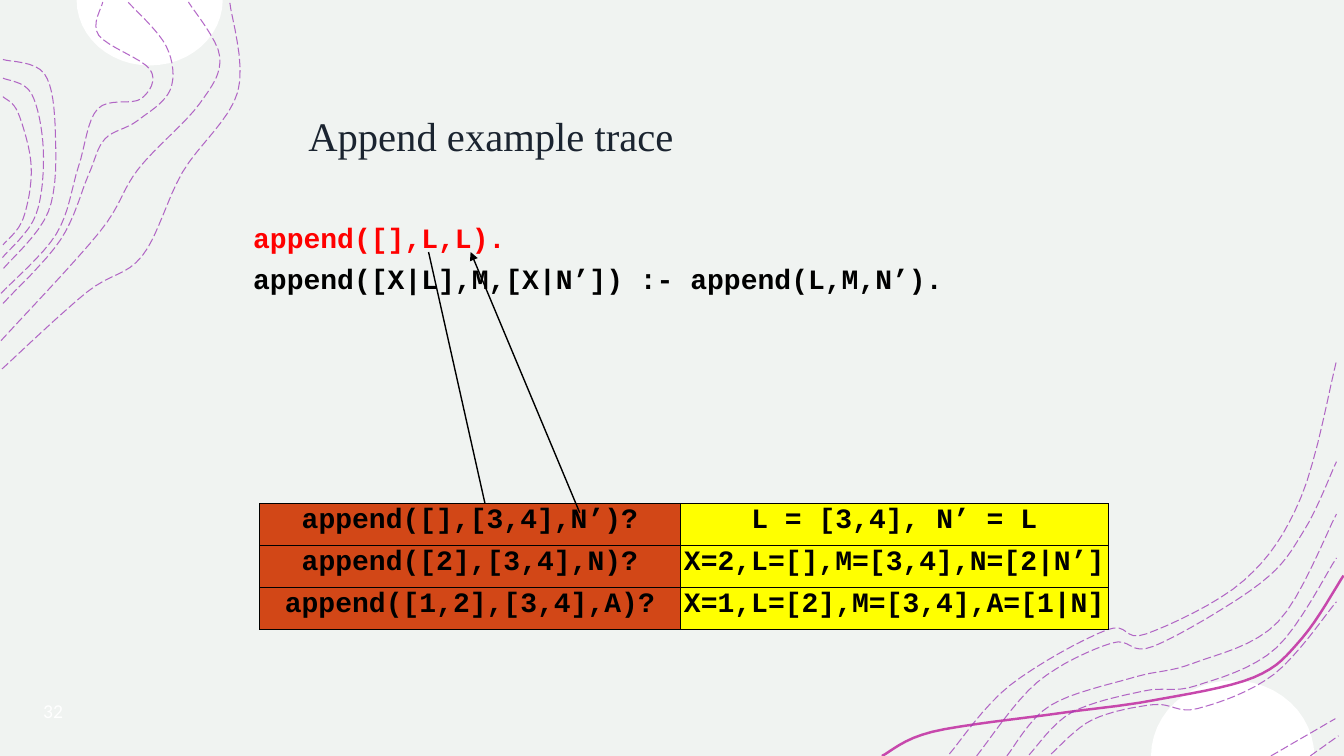
"""Build the slide that traces the append predicate, framed by contour lines."""
from math import cos, pi, sin

from lxml.etree import SubElement
from pptx import Presentation
from pptx.dml.color import RGBColor
from pptx.enum.dml import MSO_LINE
from pptx.enum.shapes import MSO_CONNECTOR
from pptx.enum.text import MSO_ANCHOR, MSO_AUTO_SIZE, PP_ALIGN
from pptx.oxml.ns import qn
from pptx.util import Cm, Pt

PAPER = RGBColor(0xF0, 0xF3, 0xF1)
WHITE = RGBColor(0xFF, 0xFF, 0xFF)
BLACK = RGBColor(0x00, 0x00, 0x00)
INK = RGBColor(0x1B, 0x24, 0x30)
RED = RGBColor(0xFF, 0x00, 0x00)
ORANGE = RGBColor(0xD2, 0x47, 0x17)
YELLOW = RGBColor(0xFF, 0xFF, 0x00)
PURPLE = RGBColor(0x9C, 0x37, 0xB6)
MAGENTA = RGBColor(0xC7, 0x48, 0xAC)
CODE_FONT, TITLE_FONT = "Courier New", "Times New Roman"

TITLE = "Append example trace"
PAGE_NUMBER = "32"
CLAUSES = [
    ("append([],L,L).", RED, 6.2),
    ("append([X|L],M,[X|N’]) :- append(L,M,N’).", BLACK, 5.2),
]
TRACE = [
    ("append([],[3,4],N’)?", "L = [3,4], N’ = L"),
    ("append([2],[3,4],N)?", "X=2,L=[],M=[3,4],N=[2|N’]"),
    ("append([1,2],[3,4],A)?", "X=1,L=[2],M=[3,4],A=[1|N]"),
]
TRACE_FILLS = (ORANGE, YELLOW)
TRACE_WIDTHS = (Cm(10.59), Cm(10.8))
TRACE_ROW = Cm(1.06)

# Contours and caps are measured in hundredths of an inch.
UNIT = Cm(2.54) / 1000
CAPS = [(148.5, 0, 72.5, 65), (1223, 750, 81, -75)]
RIBBON = [(875, 750), (925, 726), (1048, 708), (1143, 695), (1244, 672), (1292, 633), (1333, 571)]
# Each family holds its line count, its first line and its last line.
CONTOUR_FAMILIES = [
    (2, [(2, 366), (86, 290), (141, 254), (181, 171), (236, 91), (228, 2)],
     [(1, 338), (99, 230), (137, 168), (198, 103), (218, 56), (187, 2)]),
    (2, [(3, 301), (60, 238), (88, 173), (104, 138), (136, 120), (169, 89), (165, 46), (127, 2)],
     [(1, 291), (56, 232), (78, 165), (97, 108), (140, 98), (149, 69), (98, 35), (102, 2)]),
    (3, [(3, 59), (44, 73), (55, 132), (48, 210), (2, 268)],
     [(3, 96), (18, 112), (31, 165), (23, 217), (3, 243)]),
    (2, [(942, 748), (1002, 680), (1098, 625), (1137, 629), (1234, 576), (1291, 493), (1326, 358)],
     [(969, 750), (1029, 677), (1103, 638), (1145, 641), (1250, 579), (1294, 526), (1326, 458)]),
    (3, [(1043, 748), (1084, 714), (1145, 699), (1188, 703), (1264, 669), (1326, 597)],
     [(999, 750), (1042, 700), (1125, 672), (1184, 658), (1268, 617), (1326, 510)]),
    (2, [(1261, 750), (1325, 713)], [(1300, 750), (1328, 730)]),
]


def blend(first, last, share):
    """Return the line that lies at a share of the way between two lines."""
    return [tuple(a + share * (b - a) for a, b in zip(start, end)) for start, end in zip(first, last)]


def smooth(knots, steps=8):
    """Return points of a Catmull-Rom curve through the knots."""
    padded = [knots[0], *knots, knots[-1]]
    points = [knots[0]]
    for a, b, c, d in zip(padded, padded[1:], padded[2:], padded[3:]):
        for step in range(1, steps + 1):
            t = step / steps
            points.append(tuple(
                q + t / 2 * (r - p + t * (2 * p - 5 * q + 4 * r - s + t * (3 * (q - r) + s - p)))
                for p, q, r, s in zip(a, b, c, d)))
    return points


def draw_outline(shapes, points, closed=False):
    """Add a freeform through the points."""
    start, *rest = [(10 * x, 10 * y) for x, y in points]
    builder = shapes.build_freeform(*start, scale=UNIT)
    builder.add_line_segments(rest, close=closed)
    outline = builder.convert_to_shape()
    outline.shadow.inherit = False
    return outline


def draw_stroke(shapes, knots, color, width):
    """Add a smooth open line."""
    stroke = draw_outline(shapes, smooth(knots))
    stroke.fill.background()
    stroke.line.color.rgb = color
    stroke.line.width = Pt(width)
    return stroke


def draw_arrow(shapes, x1, y1, x2, y2):
    """Add a black arrow from the first point to the second."""
    arrow = shapes.add_connector(MSO_CONNECTOR.STRAIGHT, Cm(x1), Cm(y1), Cm(x2), Cm(y2))
    arrow.line.color.rgb = BLACK
    arrow.line.width = Pt(1)
    SubElement(arrow.line._get_or_add_ln(), qn("a:tailEnd"), type="triangle")
    SubElement(arrow._element.spPr, qn("a:effectLst"))


def style(paragraph, font, size, color, bold=False, before=0):
    """Format the runs of a paragraph and the space above it."""
    paragraph.space_before = Pt(before)
    for run in paragraph.runs:
        run.font.name = font
        run.font.size = Pt(size)
        run.font.color.rgb = color
        run.font.bold = bold


def place(holder, left, top, width, height, inset):
    """Move a text shape and set its margins."""
    holder.left, holder.top, holder.width, holder.height = map(Cm, (left, top, width, height))
    frame = holder.text_frame
    frame.word_wrap = True
    frame.auto_size = MSO_AUTO_SIZE.NONE
    frame.margin_left = frame.margin_right = frame.margin_bottom = 0
    frame.margin_top = Cm(inset)
    return frame


def fill_cell(cell, text, color):
    """Write one bordered cell of the trace."""
    cell.margin_left = cell.margin_right = cell.margin_bottom = 0
    cell.margin_top = Cm(0.03)
    cell.text_frame.text = text
    paragraph = cell.text_frame.paragraphs[0]
    paragraph.alignment = PP_ALIGN.CENTER
    style(paragraph, CODE_FONT, 20, BLACK, bold=True, before=0.7)
    properties = cell._tc.get_or_add_tcPr()
    for side in ("lnL", "lnR", "lnT", "lnB"):
        border = SubElement(properties, qn(f"a:{side}"), w=str(Pt(0.75)))
        SubElement(SubElement(border, qn("a:solidFill")), qn("a:srgbClr"), val=str(BLACK))
    cell.fill.solid()
    cell.fill.fore_color.rgb = color


def main():
    """Lay out the slide and save it."""
    deck = Presentation()
    deck.slide_width, deck.slide_height = Cm(33.87), Cm(19.05)
    slide = deck.slides.add_slide(deck.slide_layouts[1])
    shapes = slide.shapes
    slide.background.fill.solid()
    slide.background.fill.fore_color.rgb = PAPER

    for center, base, radius, rise in CAPS:
        arc = [(center + radius * cos(pi * i / 24), base + rise * sin(pi * i / 24)) for i in range(25)]
        cap = draw_outline(shapes, arc, closed=True)
        cap.fill.solid()
        cap.fill.fore_color.rgb = WHITE
        cap.line.fill.background()
    draw_stroke(shapes, RIBBON, MAGENTA, 1.75)
    for count, first, last in CONTOUR_FAMILIES:
        for i in range(count):
            contour = draw_stroke(shapes, blend(first, last, i / (count - 1)), PURPLE, 0.75)
            contour.line.dash_style = MSO_LINE.LONG_DASH
            tint = contour.line._get_or_add_ln().find(".//" + qn("a:srgbClr"))
            SubElement(tint, qn("a:alpha"), val="75000")

    title, body = slide.placeholders
    heading = place(title, 6.55, 1.65, 26, 2.39, 1.14)
    heading.text = TITLE
    heading.vertical_anchor = MSO_ANCHOR.MIDDLE
    heading.paragraphs[0].alignment = PP_ALIGN.LEFT
    heading.margin_left = Cm(1.22)
    style(heading.paragraphs[0], TITLE_FONT, 29, INK, before=1)

    program = place(body, 6.35, 5.33, 17.6, 2.13, 0.23)
    program.text = "\n".join(text for text, _, _ in CLAUSES)
    for paragraph, (_, color, before) in zip(program.paragraphs, CLAUSES):
        style(paragraph, CODE_FONT, 20, color, bold=True, before=before)
        properties = paragraph._p.get_or_add_pPr()
        properties.set("marL", str(Cm(0.03)))
        properties.set("indent", "0")
        SubElement(properties, qn("a:buNone"))

    draw_arrow(shapes, 10.8, 6.35, 12.27, 12.9)
    trace = shapes.add_table(len(TRACE), 2, Cm(6.55), Cm(12.69), sum(TRACE_WIDTHS),
                             TRACE_ROW * len(TRACE)).table
    for column, width in zip(trace.columns, TRACE_WIDTHS):
        column.width = width
    for row, texts in enumerate(TRACE):
        trace.rows[row].height = TRACE_ROW
        for column, (text, color) in enumerate(zip(texts, TRACE_FILLS)):
            fill_cell(trace.cell(row, column), text, color)
    draw_arrow(shapes, 14.61, 12.92, 11.86, 6.35)

    page = place(shapes.add_textbox(0, 0, 0, 0), 1.09, 17.5, 1.5, 0.8, 0)
    page.text = PAGE_NUMBER
    page.vertical_anchor = MSO_ANCHOR.MIDDLE
    style(page.paragraphs[0], None, 14, WHITE)

    deck.save("out.pptx")


if __name__ == "__main__":
    main()
